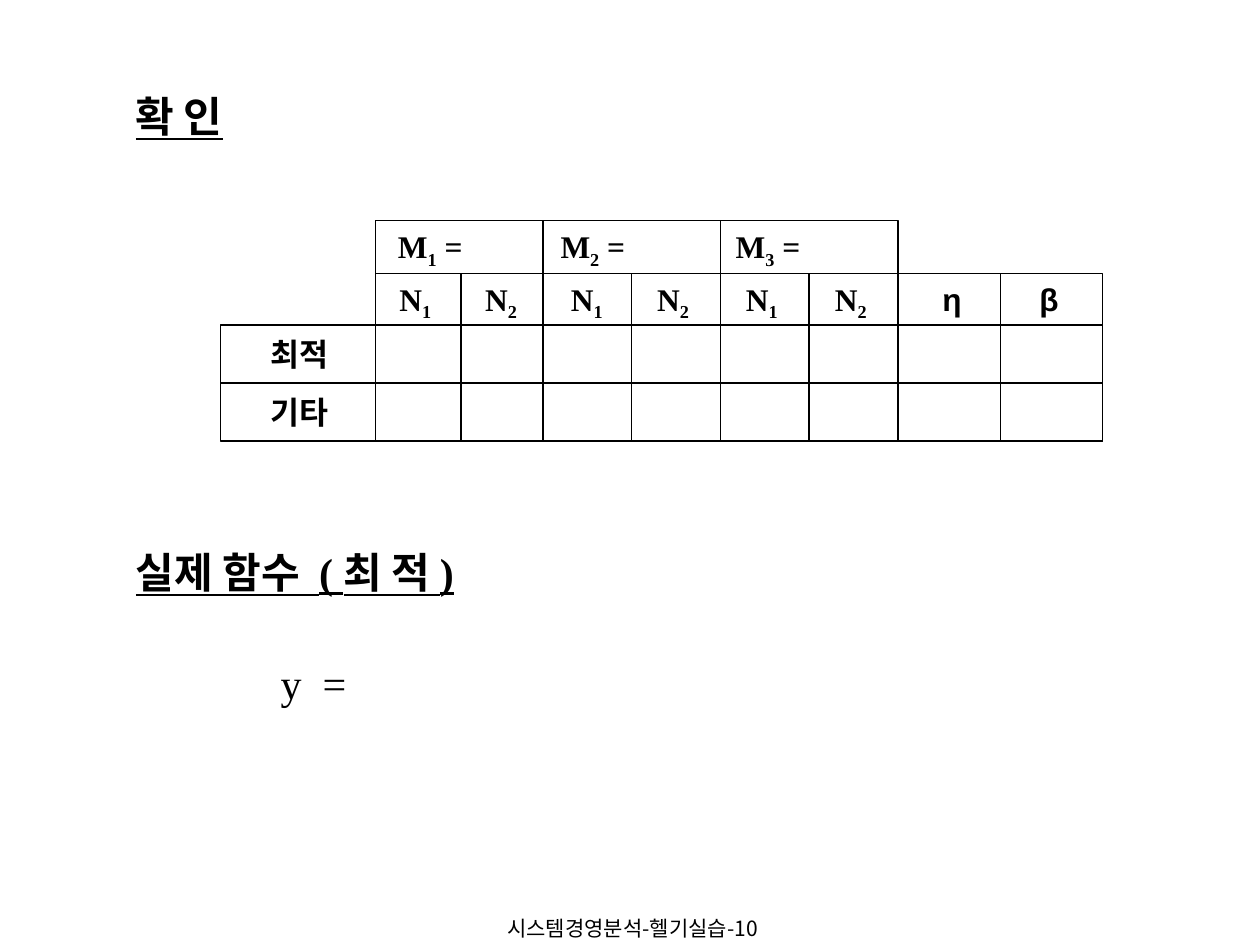
from lxml.etree import SubElement
from pptx import Presentation
from pptx.dml.color import RGBColor
from pptx.enum.shapes import MSO_CONNECTOR as Connector, MSO_SHAPE as Shape
from pptx.enum.text import MSO_AUTO_SIZE as AutoSize, PP_ALIGN as Align
from pptx.oxml.ns import qn
from pptx.util import Inches, Pt

COLORS = {"ink": "000000", "paper": "FFFFFF"}
SERIF, SANS, KOREAN = "Times New Roman", "Arial", "Noto Sans CJK KR"


class SlideBuilder:
    def __init__(self, slide):
        self.slide = slide

    def color(self, name):
        return RGBColor.from_string(COLORS[name])

    def box(self, left, top, right, bottom, weight):
        shape = self.slide.shapes.add_shape(
            Shape.RECTANGLE, Inches(left), Inches(top),
            Inches(right - left), Inches(bottom - top))
        shape.shadow.inherit = False
        shape.fill.solid()
        shape.fill.fore_color.rgb = self.color("paper")
        shape.line.color.rgb = self.color("ink")
        shape.line.width = Pt(weight)

    def line(self, x1, y1, x2, y2, weight):
        connector = self.slide.shapes.add_connector(
            Connector.STRAIGHT, Inches(x1), Inches(y1), Inches(x2), Inches(y2))
        connector.line.color.rgb = self.color("ink")
        connector.line.width = Pt(weight)
        SubElement(connector._element.spPr, qn("a:effectLst"))

    def text(self, left, top, width, height, parts, size=18, font=SERIF, bold=True,
             underline=False, align=Align.CENTER, before=11.2, grow=True):
        """Write the parts as runs; every second part is a subscript."""
        shape = self.slide.shapes.add_textbox(
            Inches(left), Inches(top), Inches(width), Inches(height))
        frame = shape.text_frame
        frame.word_wrap = True
        frame.auto_size = AutoSize.SHAPE_TO_FIT_TEXT if grow else AutoSize.NONE
        paragraph = frame.paragraphs[0]
        paragraph.alignment = align
        paragraph.space_before = Pt(before)
        for index, part in enumerate(parts):
            run = paragraph.add_run()
            run.text = part
            run.font.size = Pt(size)
            run.font.name = font
            run.font.bold = bold
            run.font.underline = underline
            run.font.color.rgb = self.color("ink")
            SubElement(run.font._element, qn("a:ea"), typeface=KOREAN)
            if index % 2:
                run.font._element.set("baseline", "-25000")

    def heading(self, left, top, width, text, bold=True):
        self.text(left, top, width, 0.5, [text], size=24, bold=bold,
                  underline=bold, align=Align.LEFT, before=15)


def main():
    presentation = Presentation()
    presentation.slide_width, presentation.slide_height = Inches(10), Inches(7.5)
    builder = SlideBuilder(presentation.slides.add_slide(presentation.slide_layouts[6]))

    # Footer
    builder.text(3.33, 7.22, 3.38, 0.25, ["시스템경영분석-헬기실습-10"], size=12,
                 font=KOREAN, bold=False, before=0, grow=False)

    # Grid frames
    left, data_left, data_right, right = 1.75, 2.98, 7.13, 8.75
    top, level_top, body_top, body_middle, bottom = 1.75, 2.17, 2.58, 3.04, 3.5
    builder.box(data_right, level_top, right, bottom, 0.75)
    builder.box(left, body_top, right, bottom, 1)
    builder.box(data_left, top, data_right, bottom, 1)

    # Grid lines
    for y in (body_top, body_middle):
        builder.line(left, y, right, y, 1)
    builder.line(data_left, level_top, data_right, level_top, 1)
    for x in (4.31, 5.72):
        builder.line(x, top, x, bottom, 0.75)
    for x in (3.66, 5.01, 6.42, 7.94):
        builder.line(x, level_top, x, bottom, 0.75)

    # Column heads
    for number, (x, width) in enumerate([(3.06, 1), (4.35, 1.09), (5.74, 1.28)], 1):
        builder.text(x, top, width, 0.44, ["M", str(number), " ="], align=Align.LEFT)
    levels = {
        "1 ": [(3.01, 0.61), (4.42, 0.51), (5.8, 0.53)],
        "2 ": [(3.75, 0.49), (5.08, 0.56), (6.52, 0.5)],
    }
    for subscript, places in levels.items():
        for x, width in places:
            builder.text(x, level_top, width, 0.44, ["N", subscript])
    for x, symbol in ((7.36, "η "), (8.13, "β")):
        builder.text(x, level_top, 0.39, 0.4, [symbol], font=SANS)

    # Row heads
    for y, label in ((body_top, "최적"), (body_middle, "기타")):
        builder.text(1.65, y + 0.03, 1.46, 0.4, [label])

    # Headings and formula
    builder.heading(0.98, 0.67, 1.23, "확 인")
    builder.heading(0.98, 4.29, 3.85, "실제 함수  ( 최 적 )")
    builder.heading(2.13, 5.17, 1, "y  =", bold=False)

    presentation.save("out.pptx")


if __name__ == "__main__":
    main()
